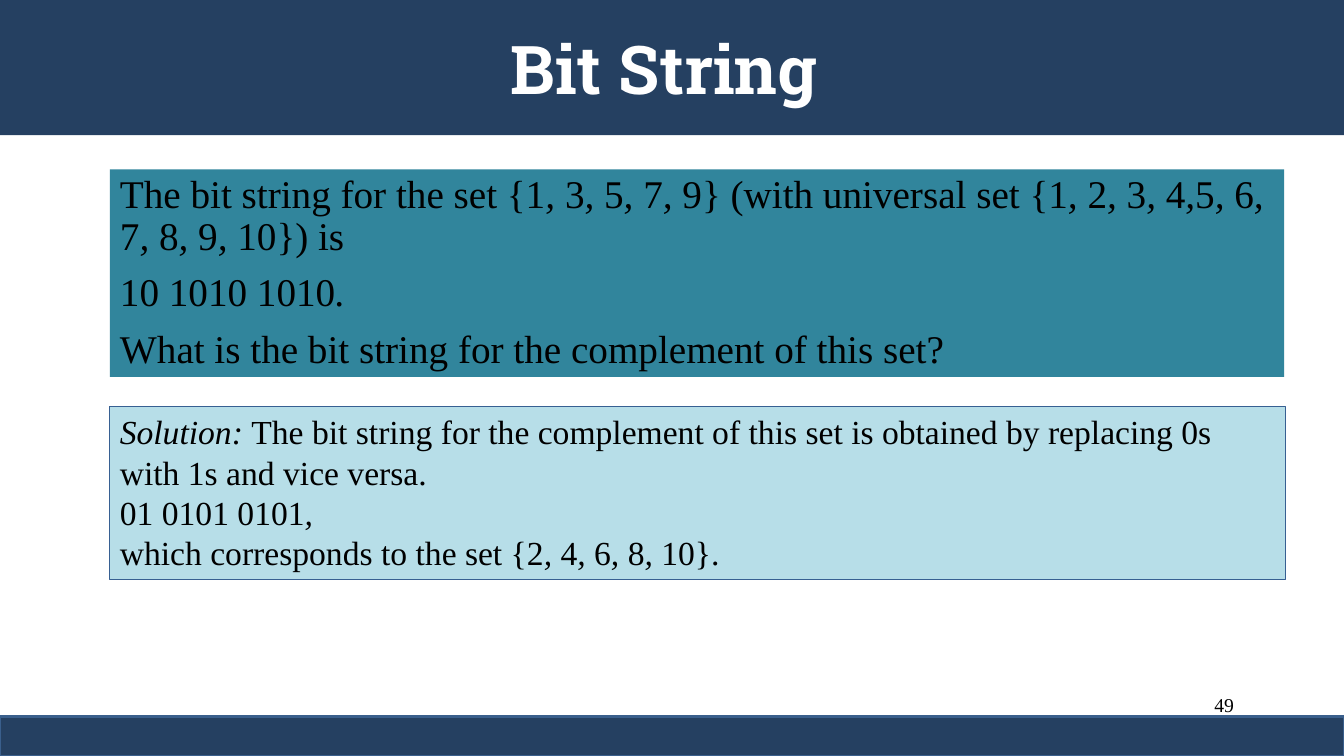
import dataclasses
import typing

import lxml.etree
import pptx
import pptx.dml.color
import pptx.enum.shapes
import pptx.enum.text
import pptx.oxml.ns
import pptx.util

ALIGN = pptx.enum.text.PP_ALIGN
ANCHOR = pptx.enum.text.MSO_ANCHOR
SIZE = pptx.enum.text.MSO_AUTO_SIZE

WIDE = pptx.util.Inches(13.33)
HIGH = pptx.util.Inches(7.5)
COL = WIDE / 160
ROW = HIGH / 90

HUES = {
    "navy": "254061",
    "edge": "3A5F8C",
    "teal": "31859C",
    "pale": "B7DEE8",
    "rim": "376092",
    "white": "FFFFFF",
    "black": "000000",
}


@dataclasses.dataclass
class Panel:
    kind: str
    left: float
    top: float
    cols: float
    rows: float
    lines: tuple[str, ...] = ()
    size: int = 24
    font: str = "Times New Roman"
    ink: str = "black"
    bold: bool = False
    fill: str = ""
    edge: str = ""
    weight: float = 0
    align: ALIGN = ALIGN.LEFT
    anchor: ANCHOR = ANCHOR.TOP
    fit: SIZE = SIZE.NONE
    pitch: float = 1
    gap: int = 0


PANELS = (
    Panel("text", 114.72, 81.96, 33.36, 6, ("49",), 14, align=ALIGN.RIGHT),
    Panel("title", 0, 0, 160, 16.08, ("Bit String ",), 48, "Roboto Slab",
          "white", True, "navy", align=ALIGN.CENTER, anchor=ANCHOR.MIDDLE),
    Panel("rect", 0, 85.32, 160, 4.68, fill="navy", edge="edge", weight=2),
    Panel("body", 13.08, 20.16, 139.8, 24.72, (
        "The bit string for the set {1, 3, 5, 7, 9} (with universal set "
        "{1, 2, 3, 4|,|5, 6, 7, 8, 9, 10}) is",
        "10 1010 1010|.|",
        "What is the bit string for the complement of this set?",
    ), 28, fill="teal", pitch=0.9, gap=10),
    Panel("rect", 13.08, 48.36, 139.92, 20.64, (
        "|Solution: |The bit string for the complement of this set is "
        "obtained by replacing 0s with 1s and vice versa.",
        "01 0101 0101|,|",
        "which corresponds to the set {2, 4, 6, 8, 10}.",
    ), fill="pale", edge="rim", weight=0.75, fit=SIZE.SHAPE_TO_FIT_TEXT),
)


def shade(name: str) -> pptx.dml.color.RGBColor:
    return pptx.dml.color.RGBColor.from_string(HUES[name])


def make(slide: typing.Any, panel: Panel) -> typing.Any:
    box = (round(panel.left * COL), round(panel.top * ROW),
           round(panel.cols * COL), round(panel.rows * ROW))
    if panel.kind == "text":
        return slide.shapes.add_textbox(*box)
    if panel.kind == "rect":
        kind = pptx.enum.shapes.MSO_SHAPE.RECTANGLE
        shape = slide.shapes.add_shape(kind, *box)
        shape.shadow.inherit = False
        return shape
    shape = slide.shapes.title if panel.kind == "title" else slide.placeholders[1]
    shape.left, shape.top, shape.width, shape.height = box
    return shape


def paint(shape: typing.Any, panel: Panel) -> None:
    if panel.fill:
        shape.fill.solid()
        shape.fill.fore_color.rgb = shade(panel.fill)
    if panel.edge:
        shape.line.color.rgb = shade(panel.edge)
        shape.line.width = pptx.util.Pt(panel.weight)


def write(shape: typing.Any, panel: Panel) -> None:
    frame = shape.text_frame
    frame.word_wrap = True
    frame.auto_size = panel.fit
    frame.vertical_anchor = panel.anchor
    for place, line in enumerate(panel.lines):
        para = frame.add_paragraph() if place else frame.paragraphs[0]
        props = para._p.get_or_add_pPr()
        props.set("marL", "0")
        props.set("indent", "0")
        lxml.etree.SubElement(props, pptx.oxml.ns.qn("a:buNone"))
        para.alignment = panel.align
        para.line_spacing = panel.pitch
        para.space_before = pptx.util.Pt(panel.gap if place else 0)
        for turn, part in enumerate(line.replace(", ", "|, |").split("|")):
            if part:
                run = para.add_run()
                run.text = part
                run.font.name = panel.font
                run.font.size = pptx.util.Pt(panel.size)
                run.font.bold = panel.bold
                run.font.italic = turn % 2 == 1
                run.font.color.rgb = shade(panel.ink)


def main() -> None:
    deck = pptx.Presentation()
    deck.slide_width, deck.slide_height = WIDE, HIGH
    slide = deck.slides.add_slide(deck.slide_layouts[1])
    for panel in PANELS:
        shape = make(slide, panel)
        paint(shape, panel)
        write(shape, panel)
    deck.save("out.pptx")


if __name__ == "__main__":
    main()
